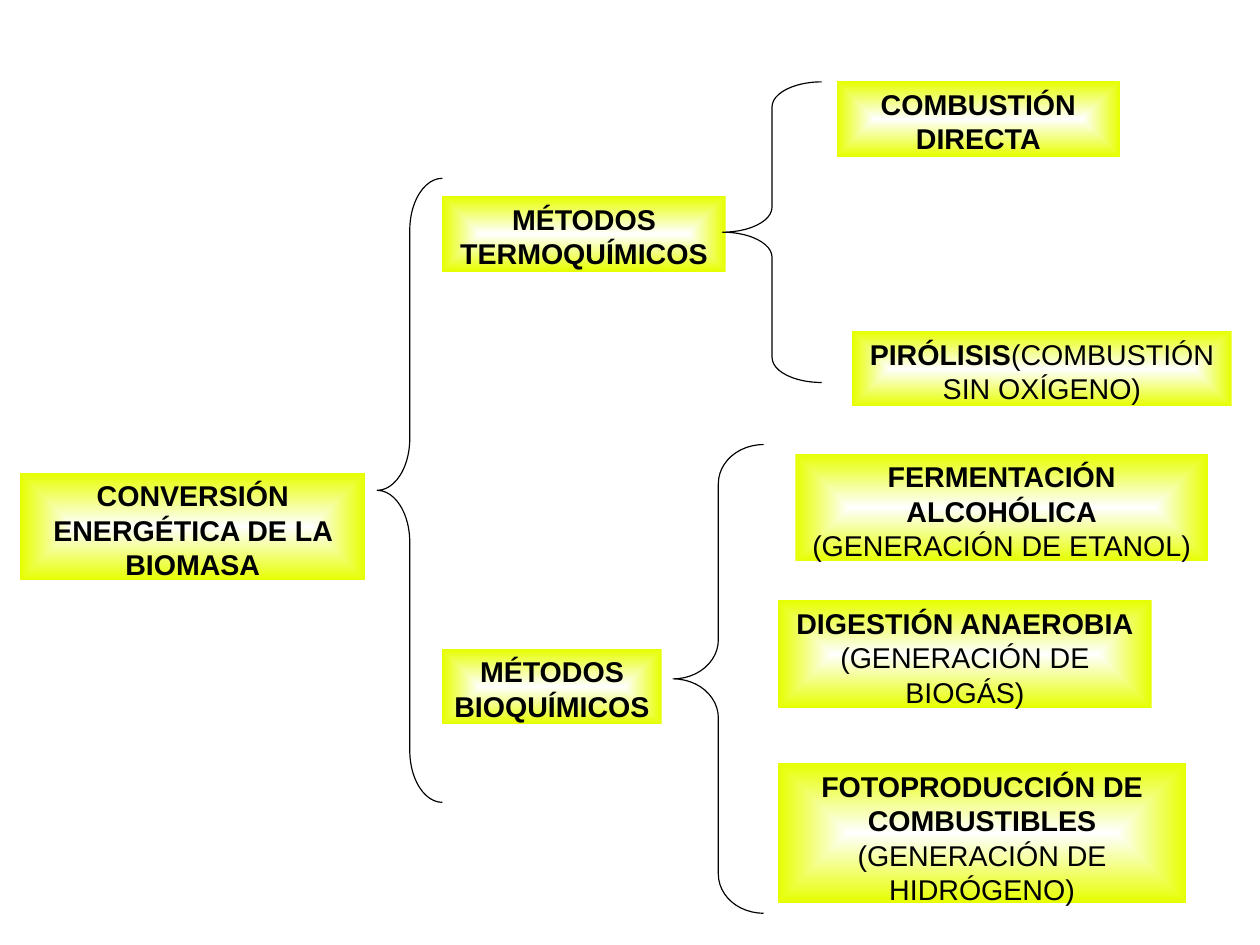
from dataclasses import dataclass

from pptx import Presentation
from pptx.dml.color import RGBColor
from pptx.enum.shapes import MSO_SHAPE
from pptx.enum.text import MSO_ANCHOR, MSO_AUTO_SIZE, PP_ALIGN
from pptx.oxml import parse_xml
from pptx.oxml.ns import nsdecls, qn
from pptx.util import Cm, Pt


@dataclass(frozen=True)
class Theme:
    glow: RGBColor = RGBColor(0xFF, 0xFF, 0xFF)
    edge: RGBColor = RGBColor(0xE6, 0xFF, 0x00)
    ink: RGBColor = RGBColor(0, 0, 0)
    font: str = "Arial"
    size: int = 18


THEME = Theme()
WIDTH, HEIGHT = Cm(28), Cm(21)
COLUMN, ROW = WIDTH / 100, HEIGHT / 100
PADDING_ROWS, LINE_ROWS = 1.21, 3.39

# left column, top row, columns wide, lines of text, paragraphs of (text, bold)
BOXES = [
    (1.6, 50.03, 27.4, 3, [[("CONVERSIÓN ENERGÉTICA DE LA BIOMASA", True)]]),
    (35.1, 20.75, 22.5, 2, [[("MÉTODOS TERMOQUÍMICOS", True)]]),
    (35.1, 68.65, 17.42, 2, [[("MÉTODOS BIOQUÍMICOS", True)]]),
    (66.4, 8.59, 22.5, 2, [[("COMBUSTIÓN DIRECTA", True)]]),
    (67.64, 35.03, 30.12, 2,
     [[("PIRÓLISIS", True), ("(COMBUSTIÓN SIN OXÍGENO)", False)]]),
    (63.13, 48.02, 32.75, 3,
     [[("FERMENTACIÓN ALCOHÓLICA", True), (" (GENERACIÓN DE ETANOL)", False)]]),
    (61.75, 63.54, 29.66, 3,
     [[("DIGESTIÓN ANAEROBIA", True)], [("(GENERACIÓN DE BIOGÁS)", False)]]),
    (61.75, 80.77, 32.4, 4,
     [[("FOTOPRODUCCIÓN DE COMBUSTIBLES", True),
       (" (GENERACIÓN DE HIDRÓGENO)", False)]]),
]

# left column, top row, columns wide, rows high
BRACES = [
    (29.94, 18.87, 5.17, 66.04),
    (57.33, 8.67, 7.89, 31.81),
    (53.43, 47.05, 7.17, 49.59),
]


def add_shape(slide, kind, left, top, columns, rows):
    shape = slide.shapes.add_shape(
        kind, round(left * COLUMN), round(top * ROW),
        round(columns * COLUMN), round(rows * ROW))
    shape.shadow.inherit = False
    return shape


def fill_from_centre(shape, centre, edge):
    """Fill with a rectangular gradient that spreads from the middle."""
    shape.fill.gradient()
    for stop, color in zip(shape.fill.gradient_stops, (centre, edge)):
        stop.color.rgb = color
    gradient = shape.element.spPr.find(qn("a:gradFill"))
    gradient.replace(gradient.find(qn("a:lin")), parse_xml(
        f'<a:path {nsdecls("a")} path="rect">'
        '<a:fillToRect l="50000" t="50000" r="50000" b="50000"/></a:path>'))


def write(shape, paragraphs, *, size=THEME.size, color=THEME.ink,
          font=THEME.font, align=PP_ALIGN.CENTER):
    frame = shape.text_frame
    frame.word_wrap = True
    frame.auto_size = MSO_AUTO_SIZE.SHAPE_TO_FIT_TEXT
    frame.vertical_anchor = MSO_ANCHOR.TOP
    for index, spans in enumerate(paragraphs):
        para = frame.add_paragraph() if index else frame.paragraphs[0]
        para.alignment = align
        for text, bold in spans:
            span = para.add_run()
            span.text = text
            span.font.name = font
            span.font.size = Pt(size)
            span.font.bold = bold
            span.font.color.rgb = color


def add_box(slide, left, top, columns, lines, paragraphs):
    rows = PADDING_ROWS + LINE_ROWS * lines
    box = add_shape(slide, MSO_SHAPE.RECTANGLE, left, top, columns, rows)
    fill_from_centre(box, THEME.glow, THEME.edge)
    box.line.fill.background()
    write(box, paragraphs)


def add_brace(slide, *place):
    """Draw a left brace whose curls are each a twelfth of its height."""
    brace = add_shape(slide, MSO_SHAPE.LEFT_BRACE, *place)
    brace.adjustments[0] = brace.height / 12 / min(brace.width, brace.height)
    brace.fill.background()
    brace.line.color.rgb = THEME.ink
    brace.line.width = Pt(0)


def main():
    deck = Presentation()
    deck.slide_width, deck.slide_height = WIDTH, HEIGHT
    slide = deck.slides.add_slide(deck.slide_layouts[6])
    for box in BOXES:
        add_box(slide, *box)
    for brace in BRACES:
        add_brace(slide, *brace)
    deck.save("out.pptx")


if __name__ == "__main__":
    main()
